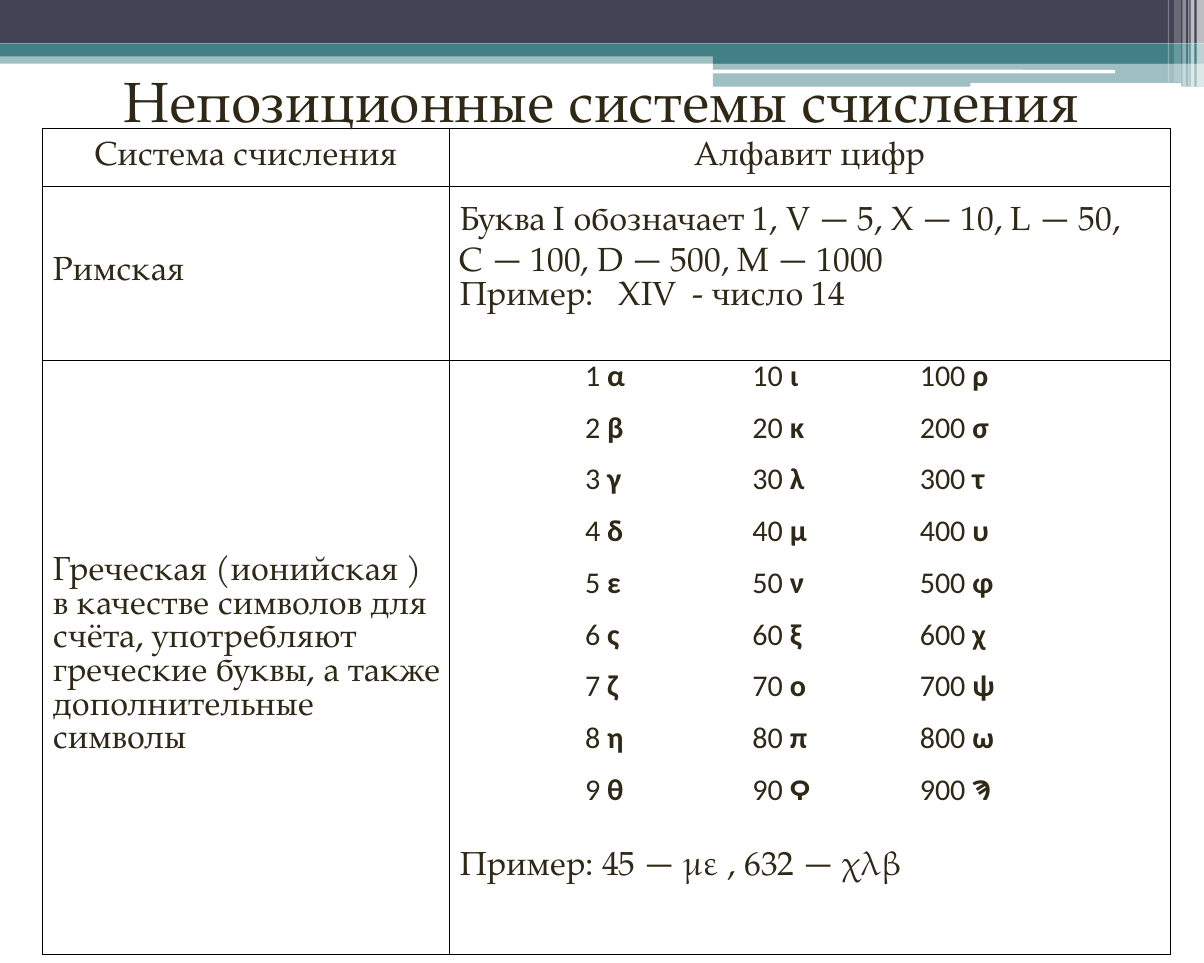
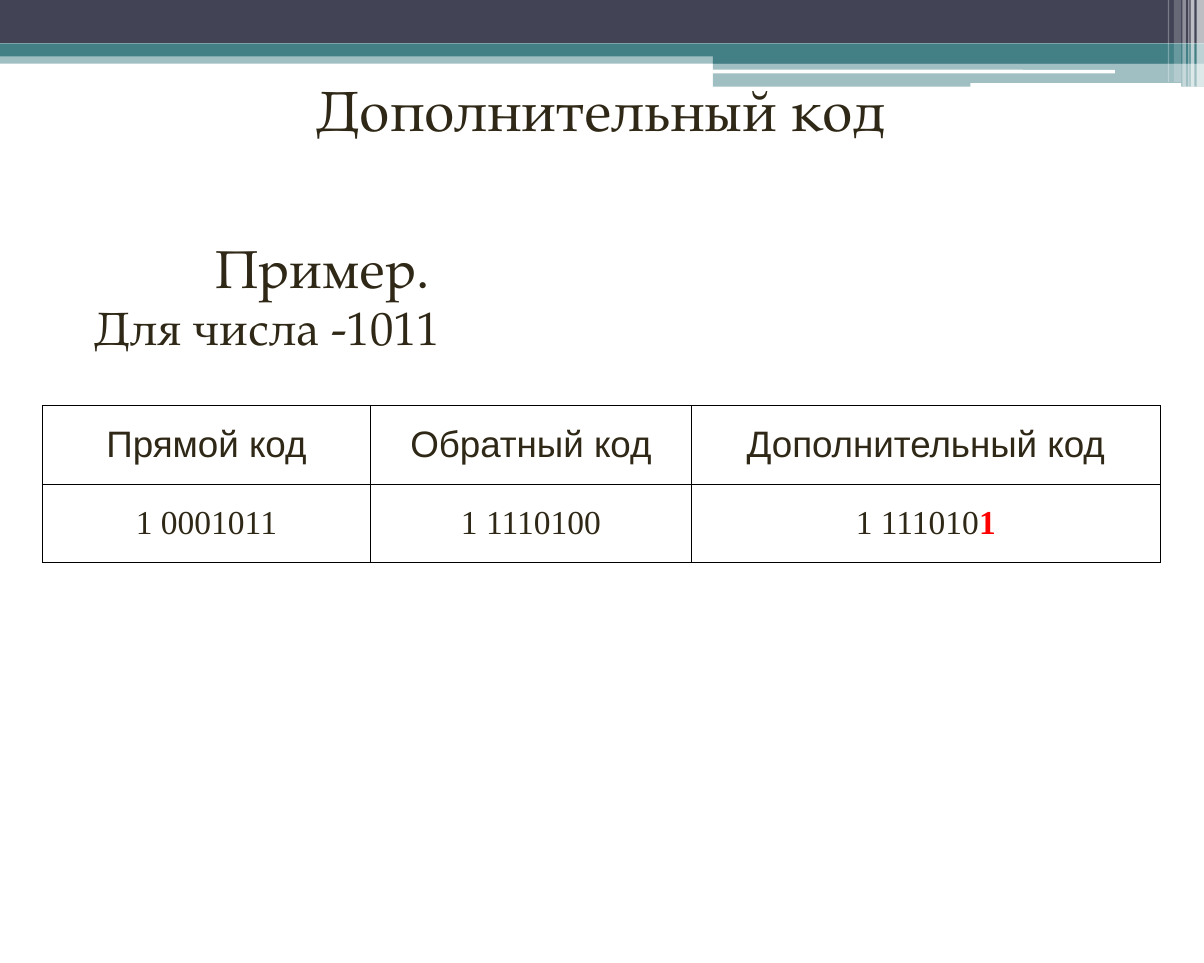
from dataclasses import dataclass
from itertools import groupby

from lxml.etree import SubElement
from pptx import Presentation
from pptx.dml.color import RGBColor as Rgb
from pptx.enum.shapes import MSO_SHAPE as Shape
from pptx.enum.text import MSO_ANCHOR as Anchor, PP_ALIGN as Align
from pptx.oxml.ns import qn
from pptx.util import Inches, Pt


@dataclass(frozen=True)
class Theme:
    ink: str = "2F2817"
    navy: str = "424456"
    teal: str = "438086"
    white: str = "FFFFFF"
    border: str = "000000"
    accent: str = "FF0000"
    serif: str = "TeX Gyre Pagella"
    sans: str = "Calibri"
    header: str = "Arial"
    digits: str = "Times New Roman"
    title_size: int = 34
    lead_size: int = 32
    text_size: int = 28
    header_size: int = 22
    cell_size: int = 20
    small_size: int = 18
    border_width: float = 0.45


THEME = Theme()


@dataclass(frozen=True)
class Span:
    text: str
    font: str | None = None
    bold: bool | None = None
    color: str | None = None


@dataclass(frozen=True)
class Line:
    spans: tuple
    size: int = THEME.cell_size
    font: str = THEME.serif
    align: Align = Align.LEFT
    indent: float = 0
    tabs: tuple = ()


@dataclass(frozen=True)
class Cell:
    lines: list
    margins: tuple = (0.01, 0.05, 0.01, 0.05)
    anchor: Anchor = Anchor.MIDDLE


# Left, top, width, height, colour, opacity in percent
BANDS = [
    (0, 0.43, 10, 0.1, THEME.teal, 50),
    (0, 0, 10, 0.36, THEME.navy, 100),
    (0, 0.36, 10, 0.11, THEME.teal, 100),
    (5.92, 0.42, 4.08, 0.11, THEME.teal, 100),
    (5.92, 0.51, 4.08, 0.21, THEME.teal, 50),
]
PILLS = [
    (5.91, 0.58, 3.35, 0.03, THEME.white, 100),
    (8.06, 0.69, 1.75, 0.04, THEME.white, 100),
]
# Left, width, height, opacity in percent
STRIPES = [
    (9.94, 0.06, 0.72, 65),
    (9.89, 0.03, 0.72, 65),
    (9.87, 0.01, 0.72, 60),
    (9.82, 0.03, 0.72, 40),
    (9.75, 0.06, 0.68, 20),
    (9.7, 0.01, 0.68, 30),
]
GREEK_LETTERS = ["αβγδεςζηθ", "ικλμνξοπϘ", "ρστυφχψωϠ"]


def line(text, **style):
    """One line of plain text, with long dashes in the sans font."""
    spans = (
        Span("".join(group), font=THEME.sans if is_dash else None)
        for is_dash, group in groupby(text, lambda letter: letter == "—")
    )
    return Line(tuple(spans), **style)


def add_block(slide, kind, at, color, opacity):
    block = slide.shapes.add_shape(kind, *map(Inches, at))
    block.shadow.inherit = False
    block.line.fill.background()
    block.fill.solid()
    block.fill.fore_color.rgb = Rgb.from_string(color)
    if opacity < 100:
        tint = next(block.fill._xPr.iter(qn("a:srgbClr")))
        SubElement(tint, qn("a:alpha")).set("val", str(opacity * 1000))


def add_slide(deck):
    """A blank slide with the shared header decoration."""
    slide = deck.slides.add_slide(deck.slide_layouts[6])
    for *at, color, opacity in BANDS:
        add_block(slide, Shape.RECTANGLE, at, color, opacity)
    for *at, color, opacity in PILLS:
        add_block(slide, Shape.ROUNDED_RECTANGLE, at, color, opacity)
    for left, width, height, opacity in STRIPES:
        at = (left, 0, width, height)
        add_block(slide, Shape.RECTANGLE, at, THEME.white, opacity)
    return slide


def write_lines(frame, lines):
    for index, item in enumerate(lines):
        para = frame.add_paragraph() if index else frame.paragraphs[0]
        para.alignment = item.align
        props = para._p.get_or_add_pPr()
        if item.indent:
            props.set("marL", str(Inches(item.indent)))
        if item.tabs:
            stops = SubElement(props, qn("a:tabLst"))
            for stop in item.tabs:
                SubElement(stops, qn("a:tab"), pos=str(Inches(stop)), algn="l")
        para.font.name = item.font
        para.font.size = Pt(item.size)
        para.font.color.rgb = Rgb.from_string(THEME.ink)
        for span in item.spans:
            run = para.add_run()
            run.text = span.text
            if span.font:
                run.font.name = span.font
            if span.bold:
                run.font.bold = True
            if span.color:
                run.font.color.rgb = Rgb.from_string(span.color)


def add_text(slide, at, lines, anchor=Anchor.TOP):
    box = slide.shapes.add_textbox(*map(Inches, at))
    box.text_frame.word_wrap = True
    box.text_frame.vertical_anchor = anchor
    write_lines(box.text_frame, lines)


def add_title(slide, at, text, anchor=Anchor.TOP):
    title = line(text, size=THEME.title_size, align=Align.CENTER)
    add_text(slide, at, [title], anchor)


def set_borders(cell, color):
    props = cell._tc.get_or_add_tcPr()
    for position, side in enumerate(("lnL", "lnR", "lnT", "lnB")):
        edge = SubElement(props, qn("a:" + side), w=str(Pt(THEME.border_width)))
        props.insert(position, edge)
        if color:
            fill = SubElement(edge, qn("a:solidFill"))
            SubElement(fill, qn("a:srgbClr"), val=color)
        else:
            SubElement(edge, qn("a:noFill"))


def add_grid(slide, left, top, widths, heights, rows, framed=True):
    """A table of Cell items; an unframed one has no fill and no borders."""
    at = (left, top, sum(widths), sum(heights))
    shape = slide.shapes.add_table(len(heights), len(widths), *map(Inches, at))
    table = shape.table
    table.first_row = table.horz_banding = False
    for column, width in zip(table.columns, widths):
        column.width = Inches(width)
    for row, height, items in zip(table.rows, heights, rows):
        row.height = Inches(height)
        for cell, item in zip(row.cells, items):
            (cell.margin_left, cell.margin_top,
             cell.margin_right, cell.margin_bottom) = map(Inches, item.margins)
            cell.vertical_anchor = item.anchor
            if framed:
                cell.fill.solid()
                cell.fill.fore_color.rgb = Rgb.from_string(THEME.white)
            else:
                cell.fill.background()
            set_borders(cell, THEME.border if framed else None)
            write_lines(cell.text_frame, item.lines)


def centered(*spans, **style):
    return Cell([Line(spans, align=Align.CENTER, **style)])


def body_cell(*lines, bottom=0.05, anchor=Anchor.MIDDLE):
    return Cell(list(lines), (0.09, 0.05, 0.01, bottom), anchor)


def greek_cell(number, letter):
    spans = (Span(f"{number} "), Span(letter, bold=True))
    return Cell([Line(spans, THEME.small_size, THEME.sans)],
                (0.1, 0.05, 0.1, 0.05))


def numeral_systems(deck):
    slide = add_slide(deck)
    roman = body_cell(
        line("Буква I обозначает 1, V — 5, X — 10, L — 50,"),
        line("C — 100, D — 500, M — 1000"),
        line("Пример:\tXIV\t- число 14", tabs=(1.32, 1.93)),
        bottom=0.33,
    )
    greek = body_cell(
        line("Греческая (ионийская )"),
        line("в качестве символов для"),
        line("счёта, употребляют"),
        line("греческие буквы, а также"),
        line("дополнительные"),
        line("символы"),
    )
    example = body_cell(line("Пример: 45 — με , 632 — χλβ"),
                        bottom=0.58, anchor=Anchor.BOTTOM)
    add_grid(slide, 0.35, 1.07, [3.38, 5.99], [0.48, 1.44, 4.94], [
        [centered(Span("Система счисления")), centered(Span("Алфавит цифр"))],
        [body_cell(line("Римская")), roman],
        [greek, example],
    ])
    add_title(slide, (0.39, 0.49, 9.21, 0.67),
              "Непозиционные системы счисления", Anchor.MIDDLE)

    # Greek digits: units, tens and hundreds side by side
    digits = [
        [greek_cell(digit * 10 ** power, letter)
         for power, letter in enumerate(letters)]
        for digit, letters in enumerate(zip(*GREEK_LETTERS), start=1)
    ]
    add_grid(slide, 4.76, 2.91, [1.39] * 3, [0.43] * 9, digits, framed=False)


def complement_code(deck):
    slide = add_slide(deck)
    add_title(slide, (0.66, 0.57, 8.67, 0.67), "Дополнительный код")
    add_text(slide, (0.69, 1.9, 8.63, 1.1), [
        line("Пример.", size=THEME.lead_size, indent=1),
        line("Для числа -1011", size=THEME.text_size),
    ])

    # Three codes of the same number
    names = ["Прямой код", "Обратный код", "Дополнительный код"]
    codes = [
        [Span("1 0001011")],
        [Span("1 1110100")],
        [Span("1 111010"), Span("1", bold=True, color=THEME.accent)],
    ]
    add_grid(slide, 0.35, 3.37, [2.73, 2.66, 3.9], [0.65] * 2, [
        [centered(Span(name), font=THEME.header, size=THEME.header_size)
         for name in names],
        [centered(*spans, font=THEME.digits) for spans in codes],
    ])


def main():
    deck = Presentation()
    deck.slide_width, deck.slide_height = Inches(10), Inches(8)
    numeral_systems(deck)
    complement_code(deck)
    deck.save("out.pptx")


if __name__ == "__main__":
    main()
